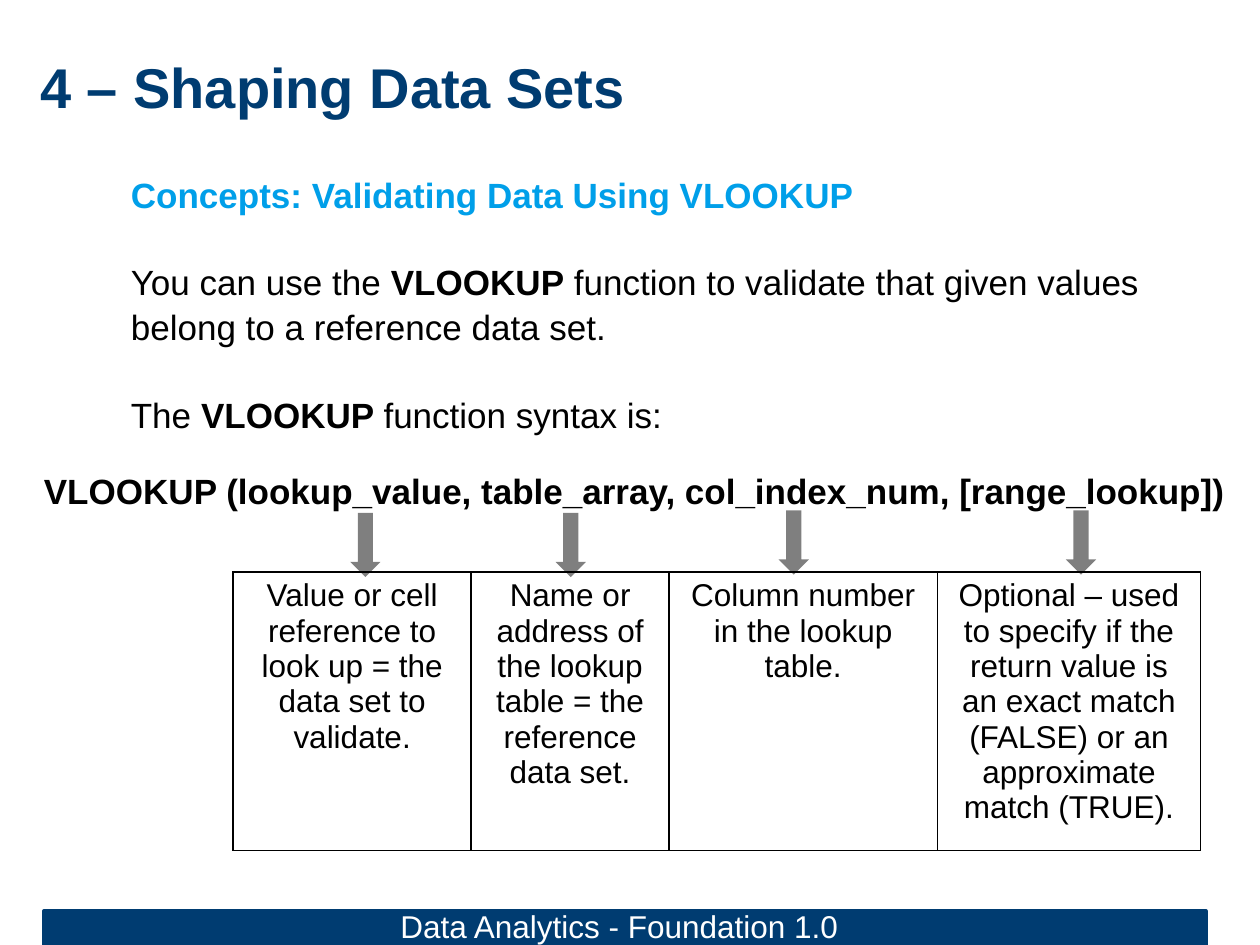
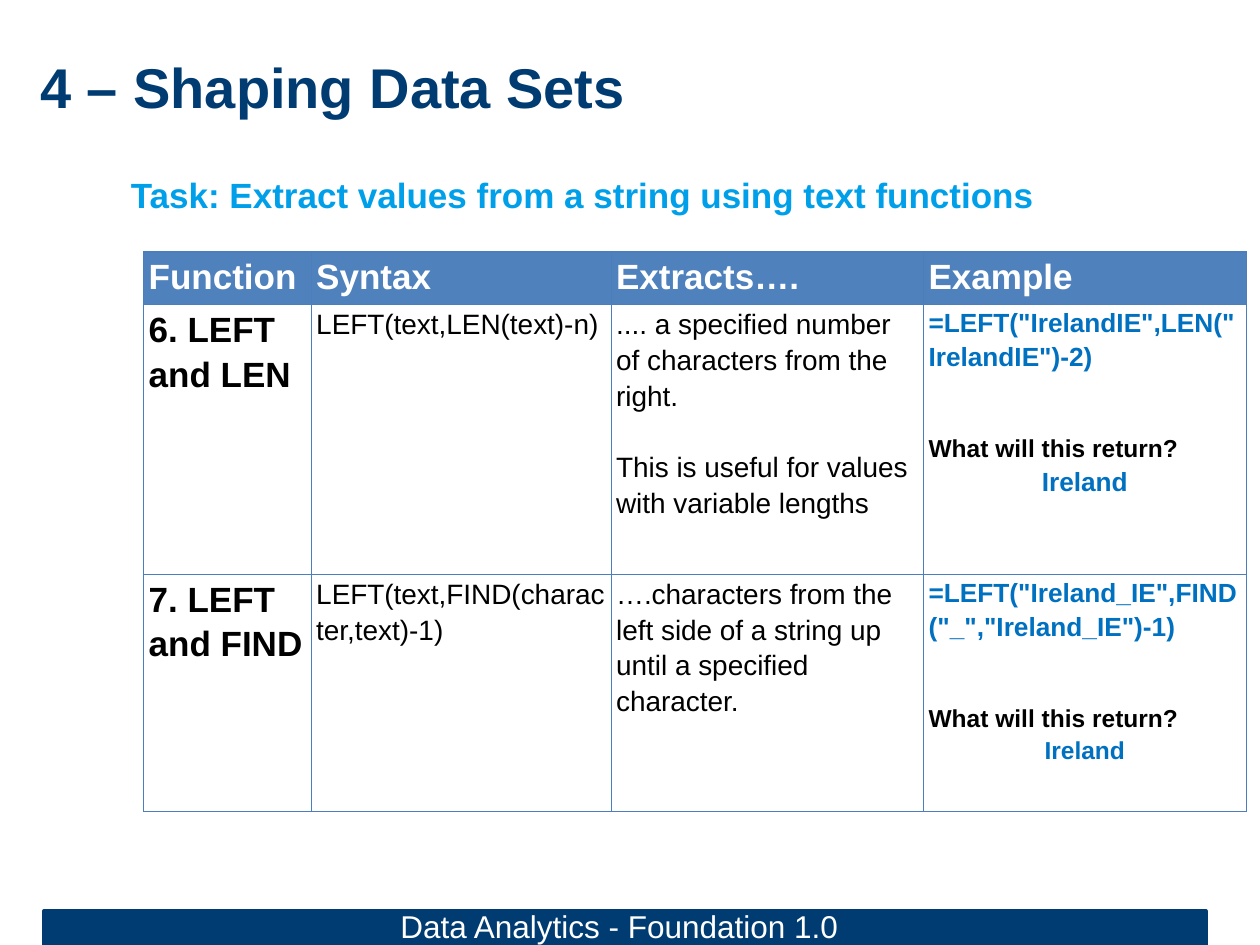
import dataclasses

import lxml.etree
import pptx
import pptx.dml.color
import pptx.enum.shapes
import pptx.enum.text
import pptx.oxml.ns
import pptx.util

Inches = pptx.util.Inches
Pt = pptx.util.Pt
CENTER = pptx.enum.text.PP_ALIGN.CENTER
MIDDLE = pptx.enum.text.MSO_ANCHOR.MIDDLE


@dataclasses.dataclass(frozen=True)
class Theme:
    font: str = "Arial"
    navy: str = "003C71"
    sky: str = "009FE9"
    header: str = "4F81BD"
    grid: str = "4B7EBC"
    formula: str = "0070C0"
    black: str = "000000"
    white: str = "FFFFFF"
    title: int = 32
    body: int = 20
    note: int = 18
    cell: int = 16
    code: int = 15
    question: int = 14


THEME = Theme()


@dataclasses.dataclass
class Span:
    text: str
    size: int = THEME.body
    color: str = THEME.black
    bold: bool = False


@dataclasses.dataclass
class Para:
    spans: list
    before: float = 0
    align: object = None


def rgb(color):
    return pptx.dml.color.RGBColor.from_string(color)


def add_child(parent, tag, **attributes):
    return lxml.etree.SubElement(parent, pptx.oxml.ns.qn(tag), **attributes)


class SlideBuilder:
    def __init__(self, deck, theme):
        self.deck = deck
        self.theme = theme
        self.page = None

    def new_page(self, heading):
        """Start a slide with the shared bar, title and footer."""
        theme = self.theme
        self.page = self.deck.slides.add_slide(self.deck.slide_layouts[6])
        bar = self.shape("RECTANGLE", 0.35, 7.23, 9.22, 0.27, theme.navy)
        bar.line.color.rgb = rgb(theme.navy)
        bar.line.width = Pt(2)
        title = self.text(0.22, 0.06, 9, 1.25, [Para([Span(heading, theme.title, theme.navy, True)])])
        title.vertical_anchor = MIDDLE
        self.text(3.08, 7.15, 3.86, 0.4,
                  [Para([Span("Data Analytics - Foundation 1.0", theme.note, theme.white)])])

    def shape(self, kind, left, top, width, height, color, opacity=100):
        shape = self.page.shapes.add_shape(
            pptx.enum.shapes.MSO_SHAPE[kind], Inches(left), Inches(top), Inches(width), Inches(height))
        shape.shadow.inherit = False
        shape.fill.solid()
        shape.fill.fore_color.rgb = rgb(color)
        shape.line.fill.background()
        if opacity < 100:
            value = shape.element.spPr.find(".//" + pptx.oxml.ns.qn("a:srgbClr"))
            add_child(value, "a:alpha", val=str(opacity * 1000))
        return shape

    def fill_frame(self, frame, paras, spacing=None):
        frame.word_wrap = True
        for index, item in enumerate(paras):
            para = frame.add_paragraph() if index else frame.paragraphs[0]
            para.alignment = item.align
            para.space_before = Pt(item.before)
            para.line_spacing = spacing
            for span in item.spans:
                run = para.add_run()
                run.text = span.text
                run.font.name = self.theme.font
                run.font.size = Pt(span.size)
                run.font.bold = span.bold
                run.font.color.rgb = rgb(span.color)

    def text(self, left, top, width, height, paras, spacing=None):
        box = self.page.shapes.add_textbox(Inches(left), Inches(top), Inches(width), Inches(height))
        self.fill_frame(box.text_frame, paras, spacing)
        return box.text_frame

    def border(self, cell, color, points):
        properties = cell._tc.get_or_add_tcPr()
        for side in "LRTB":
            line = add_child(properties, "a:ln" + side, w=str(int(Pt(points))))
            add_child(add_child(line, "a:solidFill"), "a:srgbClr", val=color)

    def table(self, left, top, widths, heights, rows, color, points,
              header=None, margins=None, spacing=None):
        """Draw a ruled table; header is the fill of the first row, if any."""
        table = self.page.shapes.add_table(
            len(rows), len(widths), Inches(left), Inches(top),
            Inches(sum(widths)), Inches(sum(heights))).table
        table.first_row = header is not None
        table.horz_banding = False
        for column, width in zip(table.columns, widths):
            column.width = Inches(width)
        for index, (row, height) in enumerate(zip(rows, heights)):
            table.rows[index].height = Inches(height)
            for column, paras in enumerate(row):
                cell = table.cell(index, column)
                self.border(cell, color, points)
                if header and index == 0:
                    cell.fill.solid()
                    cell.fill.fore_color.rgb = rgb(header)
                else:
                    cell.fill.background()
                if margins:
                    cell.margin_left = cell.margin_right = Inches(margins[0])
                    cell.margin_top = cell.margin_bottom = Inches(margins[1])
                self.fill_frame(cell.text_frame, paras, spacing)


HEADING = "4 – Shaping Data Sets"
BODY_SPACING = 1.08
BODY_GAP = 24


def concept(text):
    return Para([Span(text, color=THEME.sky, bold=True)])


def vlookup_page(builder):
    builder.new_page(HEADING)
    builder.text(0.94, 1.3, 8.82, 2.46, [
        concept("Concepts: Validating Data Using VLOOKUP"),
        Para([Span("You can use the "), Span("VLOOKUP", bold=True),
              Span(" function to validate that given values belong to a reference data set.")], BODY_GAP),
        Para([Span("The "), Span("VLOOKUP ", bold=True), Span("function syntax is:")], BODY_GAP),
    ], BODY_SPACING)
    syntax = builder.text(0.25, 3.26, 9.8, 1.51, [Para([Span(
        "VLOOKUP (lookup_value, table_array, col_index_num, [range_lookup])", bold=True)])])
    syntax.margin_top = Inches(0.47)
    for left, top in ((2.78, 4.07), (4.41, 4.07), (6.18, 4.05), (8.46, 4.05)):
        builder.shape("DOWN_ARROW", left, top, 0.24, 0.51, THEME.black, opacity=50)
    arguments = (
        "Value or cell reference to look up = the data set to validate.",
        "Name or address of the lookup table = the reference data set.",
        "Column number in the lookup table.",
        "Optional – used to specify if the return value is an exact match (FALSE) "
        "or an approximate match (TRUE).",
    )
    cells = [[Para([Span(text, THEME.note)], align=CENTER)] for text in arguments]
    builder.table(1.85, 4.54, (1.89, 1.57, 2.13, 2.09), (2.21,), [cells], THEME.black, 1)


def function_row(name, syntax, extracts, formula, answer_size):
    details = [Para([Span(text, THEME.cell)], 20.5 if index else 0)
               for index, text in enumerate(extracts)]
    example = [
        Para([Span(formula, THEME.code, THEME.formula, True)]),
        Para([Span("What will this return?", THEME.question, bold=True)], 34),
        Para([Span("Ireland", answer_size, THEME.formula, True)], align=CENTER),
    ]
    return [[Para([Span(name, bold=True)])], [Para([Span(syntax, THEME.cell)])], details, example]


def text_functions_page(builder):
    builder.new_page(HEADING)
    builder.text(0.94, 1.3, 9.33, 0.77,
                 [concept("Task: Extract values from a string using text functions")], BODY_SPACING)
    header = [[Para([Span(text, color=THEME.white, bold=True)])]
              for text in ("Function", "Syntax", "Extracts….", "Example")]
    rows = [
        header,
        function_row("6. LEFT and LEN", "LEFT(text,LEN(text)-n)",
                     (".... a specified number of characters from the right.",
                      "This is useful for values with variable lengths"),
                     '=LEFT("IrelandIE",LEN("IrelandIE")-2)', THEME.code),
        function_row("7. LEFT and FIND", "LEFT(text,FIND(character,text)-1)",
                     ("….characters from the left side of a string up until a specified character.",),
                     '=LEFT("Ireland_IE",FIND("_","Ireland_IE")-1)', THEME.question),
    ]
    builder.table(1.14, 2, (1.33, 2.38, 2.48, 2.56), (0.42, 2.14, 1.88), rows, THEME.grid, 0.75,
                  header=THEME.header, margins=(0.04, 0), spacing=1.15)


def main():
    deck = pptx.Presentation()
    deck.slide_width = Inches(10)
    deck.slide_height = Inches(7.5)
    builder = SlideBuilder(deck, THEME)
    vlookup_page(builder)
    text_functions_page(builder)
    deck.save("out.pptx")


if __name__ == "__main__":
    main()
